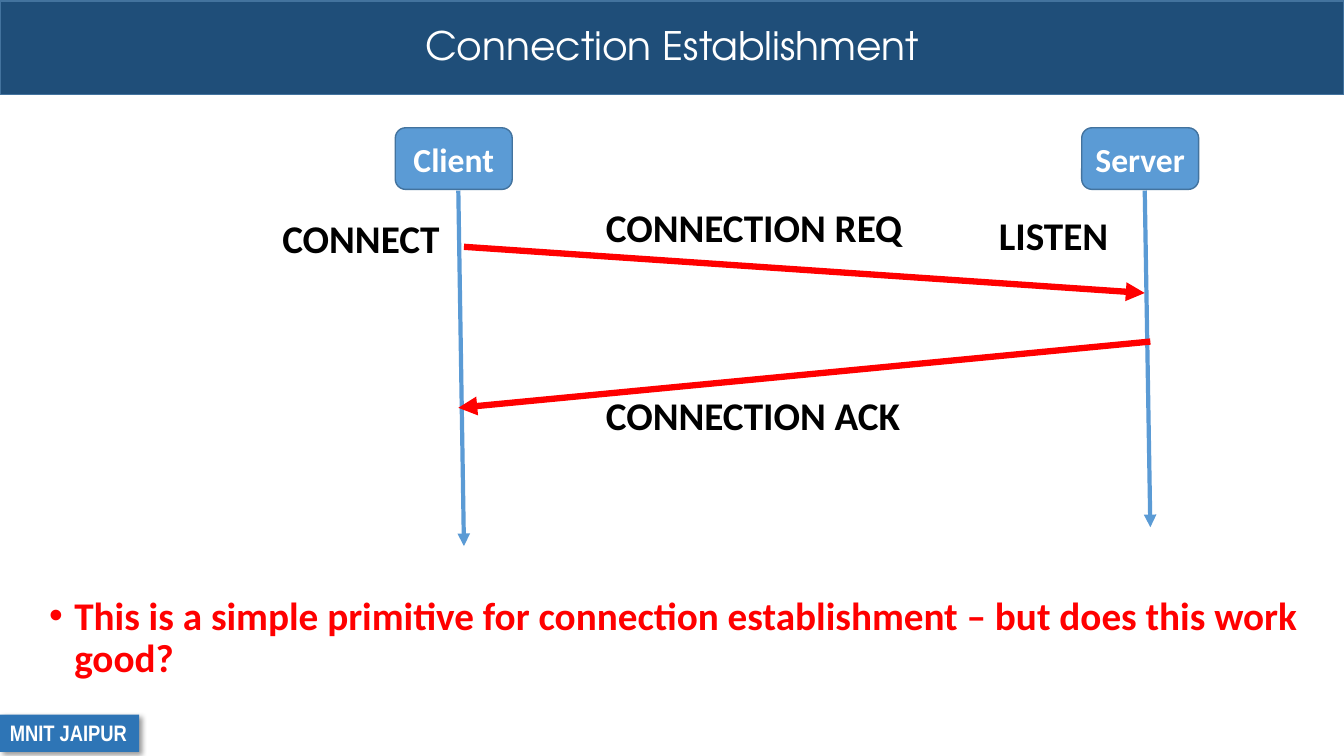
from lxml import etree
from pptx import Presentation
from pptx import util as u
from pptx.dml.color import RGBColor
from pptx.enum import shapes, text
from pptx.oxml import parse_xml
from pptx.oxml.ns import nsdecls, qn

COLORS = {"navy": "1F4E79", "edge": "43739E", "badge": "2E75B6", "blue": "5B9BD5",
          "red": "FF0000", "white": "FFFFFF", "black": "000000"}
LABEL = {"name": "Calibri", "size": u.Pt(28), "bold": True}
HEADING = {"name": "TeX Gyre Adventor", "size": u.Pt(28), "bold": False}
NODE = {"name": "Calibri", "size": u.Pt(24), "bold": True}
BADGE = {"name": "Arial Narrow", "size": u.Pt(16), "bold": True}


def rgb(name):
    return RGBColor.from_string(COLORS[name])


def points(*values):
    return [u.Pt(value) for value in values]


def write(shape, words, style, color, **layout):
    """Fill a shape with one styled paragraph; layout holds text frame and paragraph settings."""
    frame = shape.text_frame
    frame.word_wrap = layout.get("wrap", True)
    frame.vertical_anchor = layout.get("anchor", text.MSO_ANCHOR.TOP)
    para = frame.paragraphs[0]
    para.alignment = layout.get("align", text.PP_ALIGN.LEFT)
    para.line_spacing = layout.get("spacing", 1.0)
    span = para.add_run()
    span.text = words
    for key, value in style.items():
        setattr(span.font, key, value)
    span.font.color.rgb = rgb(color)
    return para


def add_block(page, kind, box, fill, edge=None):
    block = page.shapes.add_shape(kind, *points(*box))
    block.shadow.inherit = False
    block.fill.solid()
    block.fill.fore_color.rgb = rgb(fill)
    if edge:
        block.line.color.rgb = rgb(edge)
        block.line.width = u.Pt(1)
    else:
        block.line.fill.background()
    return block


def add_arrow(page, start, end, color, width):
    arrow = page.shapes.add_connector(shapes.MSO_CONNECTOR.STRAIGHT, *points(*start, *end))
    arrow.line.color.rgb = rgb(color)
    arrow.line.width = u.Pt(width)
    etree.SubElement(arrow.line._get_or_add_ln(), qn("a:tailEnd"), type="triangle")
    etree.SubElement(arrow._element.spPr, qn("a:effectLst"))


def add_header(page, box):
    band = add_block(page, shapes.MSO_SHAPE.RECTANGLE, box, "navy", "edge")
    write(band, "Connection Establishment", HEADING, "white", spacing=0.9,
          align=text.PP_ALIGN.CENTER, anchor=text.MSO_ANCHOR.MIDDLE)


def add_badge(page, box):
    badge = add_block(page, shapes.MSO_SHAPE.RECTANGLE, box, "badge")
    write(badge, "MNIT JAIPUR", BADGE, "white", wrap=False)
    effects = badge._element.spPr.find(qn("a:effectLst"))
    effects.append(parse_xml(
        f'<a:outerShdw {nsdecls("a")} blurRad="{u.Pt(4)}" dist="{u.Pt(3)}" dir="2700000" '
        f'algn="tl" rotWithShape="0"><a:srgbClr val="{COLORS["black"]}">'
        '<a:alpha val="40000"/></a:srgbClr></a:outerShdw>'))


def add_host(page, box, name, drift, length):
    """Draw a named host and the time line that falls from it."""
    left, top, width, height = box
    foot = left + 45, top + height + 0.8
    add_arrow(page, foot, (foot[0] + drift, foot[1] + length), "blue", 3)
    host = add_block(page, shapes.MSO_SHAPE.ROUNDED_RECTANGLE, box, "blue", "edge")
    write(host, name, NODE, "white", align=text.PP_ALIGN.CENTER,
          anchor=text.MSO_ANCHOR.MIDDLE)


def add_exchange(page, box):
    """Draw client and server with the messages between them."""
    left, top, width, height = box
    host_width, host_height = 83.5, 44
    right = left + width - host_width
    add_host(page, (left, top, host_width, host_height), "Client", 4, 254)
    add_host(page, (right, top, host_width, host_height), "Server", 4, 240.5)

    client, server = left + 45, right + 45
    add_arrow(page, (client + 4, top + 85), (server, top + 118), "red", 4.5)
    add_arrow(page, (server + 4, top + 152.7), (client, top + 200), "red", 4.5)

    labels = [("CONNECT", -87.8, 58.4, 128, False), ("LISTEN", 424, 56.2, 93.6, False),
              ("CONNECTION REQ", 143.3, 50.4, 229, False),
              ("CONNECTION ACK", 143.3, 184.4, 330.5, True)]
    for words, across, down, label_width, wrap in labels:
        label = page.shapes.add_textbox(*points(left + across, top + down, label_width, 41))
        write(label, words, LABEL, "black", wrap=wrap)


def add_question(page, box):
    question = page.shapes.add_textbox(*points(*box))
    para = write(question, "This is a simple primitive for connection establishment – "
                 "but does this work good?", LABEL, "red", spacing=0.9)
    props = para._p.get_or_add_pPr()
    props.set("marL", str(u.Pt(18)))
    props.set("indent", str(-u.Pt(18)))
    etree.SubElement(props, qn("a:buFont"), typeface="Arial")
    etree.SubElement(props, qn("a:buChar"), char="•")


def main():
    deck = Presentation()
    deck.slide_width, deck.slide_height = points(960, 540)
    page = deck.slides.add_slide(deck.slide_layouts[6])
    add_header(page, (0, 0.7, 960, 67))
    add_badge(page, (0, 510.5, 99.4, 26.6))
    add_question(page, (28, 422.6, 909.4, 88.6))
    add_exchange(page, (282.4, 91.3, 573.8, 299))
    deck.save("out.pptx")


if __name__ == "__main__":
    main()
